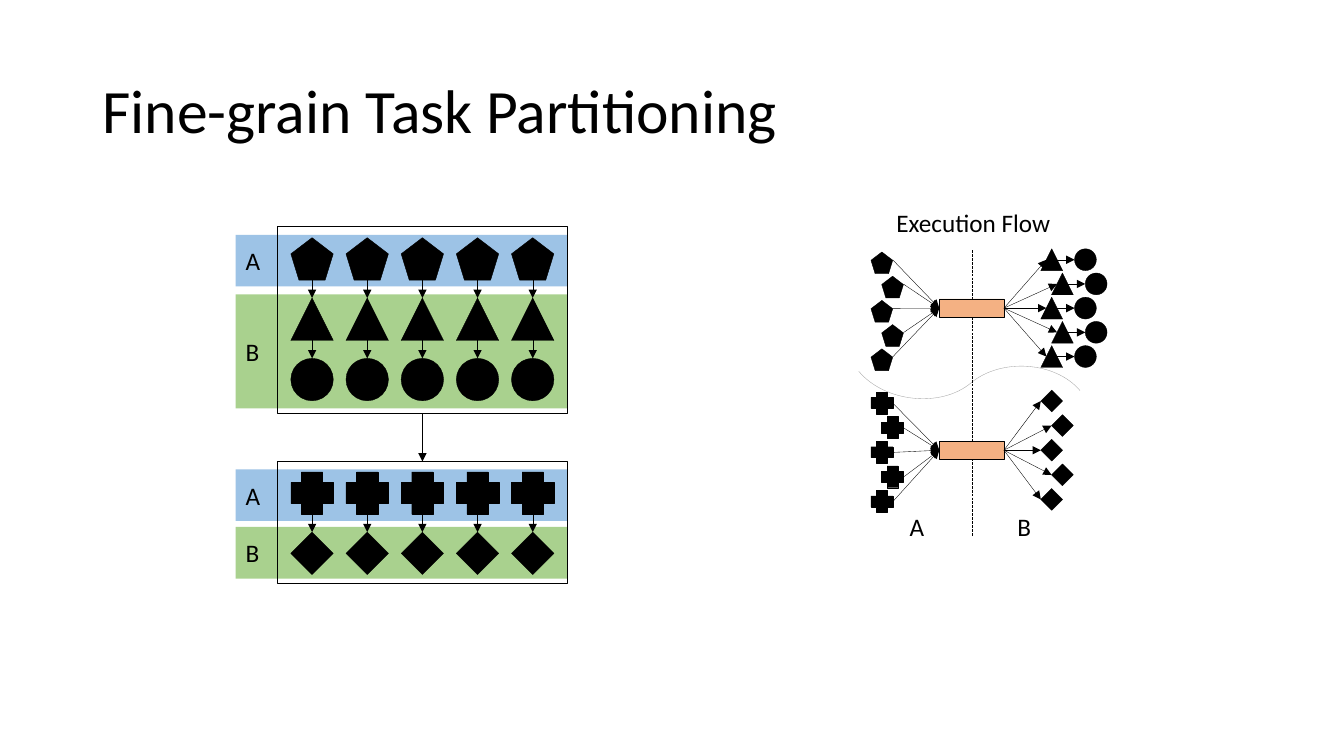
import lxml.etree
import pptx
import pptx.dml.color
import pptx.enum.dml
import pptx.enum.shapes
import pptx.enum.text
import pptx.oxml.ns
import pptx.util

Cm = pptx.util.Cm
Pt = pptx.util.Pt
SHAPE = pptx.enum.shapes.MSO_SHAPE
CONNECTOR = pptx.enum.shapes.MSO_CONNECTOR
ALIGN = pptx.enum.text.PP_ALIGN
MIDDLE = pptx.enum.text.MSO_ANCHOR.MIDDLE
BLACK = pptx.dml.color.RGBColor(0x00, 0x00, 0x00)
BLUE = pptx.dml.color.RGBColor(0x9D, 0xC3, 0xE6)
GREEN = pptx.dml.color.RGBColor(0xA9, 0xD1, 0x8E)
ORANGE = pptx.dml.color.RGBColor(0xF4, 0xB1, 0x83)
GRAY = pptx.dml.color.RGBColor(0xA6, 0xA6, 0xA6)
TASK_COUNT = 5


def add_text(frame, text, size, alignment):
    """Write one run of Calibri text into a text frame."""
    paragraph = frame.paragraphs[0]
    paragraph.alignment = alignment
    run = paragraph.add_run()
    run.text = text
    run.font.name = "Calibri"
    run.font.size = Pt(size)
    run.font.color.rgb = BLACK
    return paragraph


def add_figure(slide, kind, left, top, width, height, fill=None, outlined=True):
    """Add a preset shape with an optional fill and a hairline outline."""
    shape = slide.shapes.add_shape(kind, Cm(left), Cm(top), Cm(width), Cm(height))
    shape.shadow.inherit = False
    if fill is None:
        shape.fill.background()
    else:
        shape.fill.solid()
        shape.fill.fore_color.rgb = fill
    if outlined:
        shape.line.color.rgb = BLACK
        shape.line.width = Pt(0.25)
    else:
        shape.line.fill.background()
    return shape


def add_hairline(slide, start, end, kind=CONNECTOR.STRAIGHT, color=BLACK):
    """Add a thin connector without a shadow."""
    connector = slide.shapes.add_connector(kind, *map(Cm, start + end))
    connector.line.color.rgb = color
    connector.line.width = Pt(0.25)
    properties = connector._element.spPr
    lxml.etree.SubElement(properties, pptx.oxml.ns.qn("a:effectLst"))
    return connector


def add_arrow(slide, start, end):
    """Add a thin connector with a triangular head at its end."""
    connector = add_hairline(slide, start, end)
    line = connector.line._get_or_add_ln()
    lxml.etree.SubElement(line, pptx.oxml.ns.qn("a:tailEnd"), type="triangle")
    return connector


def add_label(slide, text, left, top, width):
    """Add a centred label that does not wrap."""
    box = slide.shapes.add_textbox(Cm(left), Cm(top), Cm(width), Cm(1.02))
    box.text_frame.word_wrap = False
    box.text_frame.auto_size = pptx.enum.text.MSO_AUTO_SIZE.SHAPE_TO_FIT_TEXT
    add_text(box.text_frame, text, 18, ALIGN.CENTER)


def add_title(slide, left, top, width, height):
    """Place and format the title."""
    title = slide.shapes.title
    title.left, title.top, title.width, title.height = map(Cm, (left, top, width, height))
    title.text_frame.vertical_anchor = MIDDLE
    paragraph = add_text(title.text_frame, "Fine-grain Task Partitioning", 44, ALIGN.LEFT)
    paragraph.line_spacing = 0.9


def add_task_block(slide, left, top, width, height, bands, icon_offset, kinds):
    """Draw labelled bands, a grid of chained tasks and the frame around it."""
    for text, offset, band_height, color in bands:
        band = add_figure(slide, SHAPE.RECTANGLE, left, top + offset, width, band_height,
                          color, outlined=False)
        band.text_frame.vertical_anchor = MIDDLE
        add_text(band.text_frame, text, 18, ALIGN.LEFT)
    size, column_pitch, row_pitch = 1.07, 1.39, 1.52
    for column in range(TASK_COUNT):
        icon_left = left + 1.39 + column * column_pitch
        center = icon_left + size / 2
        for row, kind in enumerate(kinds):
            icon_top = top + icon_offset + row * row_pitch
            add_figure(slide, kind, icon_left, icon_top, size, size, BLACK)
            if row:
                add_arrow(slide, (center, icon_top - row_pitch + size), (center, icon_top))
    return add_figure(slide, SHAPE.RECTANGLE, left + 1.05, top, width - 1.05, height)


def add_partition(slide, left, top, width):
    """Stack the two task blocks and join their frames."""
    upper = add_task_block(
        slide, left, top, width, 4.72,
        [("A", 0.23, 1.3, BLUE), ("B", 1.73, 2.87, GREEN)],
        0.3, [SHAPE.REGULAR_PENTAGON, SHAPE.ISOSCELES_TRIANGLE, SHAPE.OVAL])
    lower = add_task_block(
        slide, left, top + 5.94, width, 3.07,
        [("A", 0.2, 1.3, BLUE), ("B", 1.65, 1.3, GREEN)],
        0.26, [SHAPE.CROSS, SHAPE.DIAMOND])
    arrow = add_arrow(slide, (left + 4.7, top + 4.72), (left + 4.7, top + 5.94))
    arrow.begin_connect(upper, 2)
    arrow.end_connect(lower, 0)


def add_flow_stage(slide, left, top, pitch, source, target, source_drop, exit_height,
                   entry_inset, follower=None):
    """Draw staggered tasks that pass through a hub to their successors."""
    size, stagger = 0.55, 0.27
    middle = top + 2 * pitch + size / 2
    hub = add_figure(slide, SHAPE.RECTANGLE, left + 1.72, middle - 0.23, 1.63, 0.46, ORANGE)
    for index in range(TASK_COUNT):
        shift = stagger * (index % 2)
        source_left = left + shift
        target_left = left + 4.28 + shift
        target_top = top + index * pitch
        source_top = target_top + source_drop
        center = target_top + size / 2
        inward = add_arrow(slide, (source_left + size, source_top + exit_height),
                           (left + 1.72, middle))
        inward.end_connect(hub, 1)
        outward = add_arrow(slide, (left + 3.35, middle), (target_left + entry_inset, center))
        outward.begin_connect(hub, 3)
        add_figure(slide, source, source_left, source_top, size, size, BLACK)
        add_figure(slide, target, target_left, target_top, size, size, BLACK)
        if follower:
            follower_left = target_left + 0.85
            add_arrow(slide, (target_left + size - entry_inset, center),
                      (follower_left, center))
            add_figure(slide, follower, follower_left, target_top, size, size, BLACK)


def add_wave(slide, left, top, side):
    """Draw the tilted curve that separates the two stages."""
    wave = add_hairline(slide, (left, top + side), (left + side, top), CONNECTOR.CURVE, GRAY)
    properties = wave._element.spPr
    properties.find(pptx.oxml.ns.qn("a:xfrm")).set("rot", str(50 * 60000))
    geometry = properties.find(pptx.oxml.ns.qn("a:prstGeom"))
    adjustments = geometry.find(pptx.oxml.ns.qn("a:avLst"))
    lxml.etree.SubElement(adjustments, pptx.oxml.ns.qn("a:gd"), name="adj1", fmla="val 51600")


def add_execution_flow(slide, left, top):
    """Draw the two flow stages, their divider and the labels."""
    add_wave(slide, left + 0.5, top + 2.51, 3.96)
    divider = add_hairline(slide, (left + 2.54, top + 1.19), (left + 2.54, top + 8.4))
    divider.line.dash_style = pptx.enum.dml.MSO_LINE.LONG_DASH
    add_flow_stage(slide, left, top + 1.16, 0.61, SHAPE.REGULAR_PENTAGON,
                   SHAPE.ISOSCELES_TRIANGLE, 0.08, 0.2, 0.14, SHAPE.OVAL)
    add_flow_stage(slide, left, top + 4.72, 0.62, SHAPE.CROSS, SHAPE.DIAMOND, 0.05, 0.28, 0)
    add_label(slide, "Execution Flow", left + 0.28, top, 4.6)
    add_label(slide, "A", left + 0.71, top + 7.64, 0.89)
    add_label(slide, "B", left + 3.43, top + 7.64, 0.86)


def main():
    """Build the slide and save the presentation."""
    presentation = pptx.Presentation()
    presentation.slide_width = Cm(33.87)
    presentation.slide_height = Cm(19.05)
    slide = presentation.slides.add_slide(presentation.slide_layouts[5])
    add_title(slide, 2.33, 1.01, 29.21, 3.68)
    add_partition(slide, 5.94, 5.69, 8.36)
    add_execution_flow(slide, 21.95, 5.11)
    presentation.save("out.pptx")


if __name__ == "__main__":
    main()
